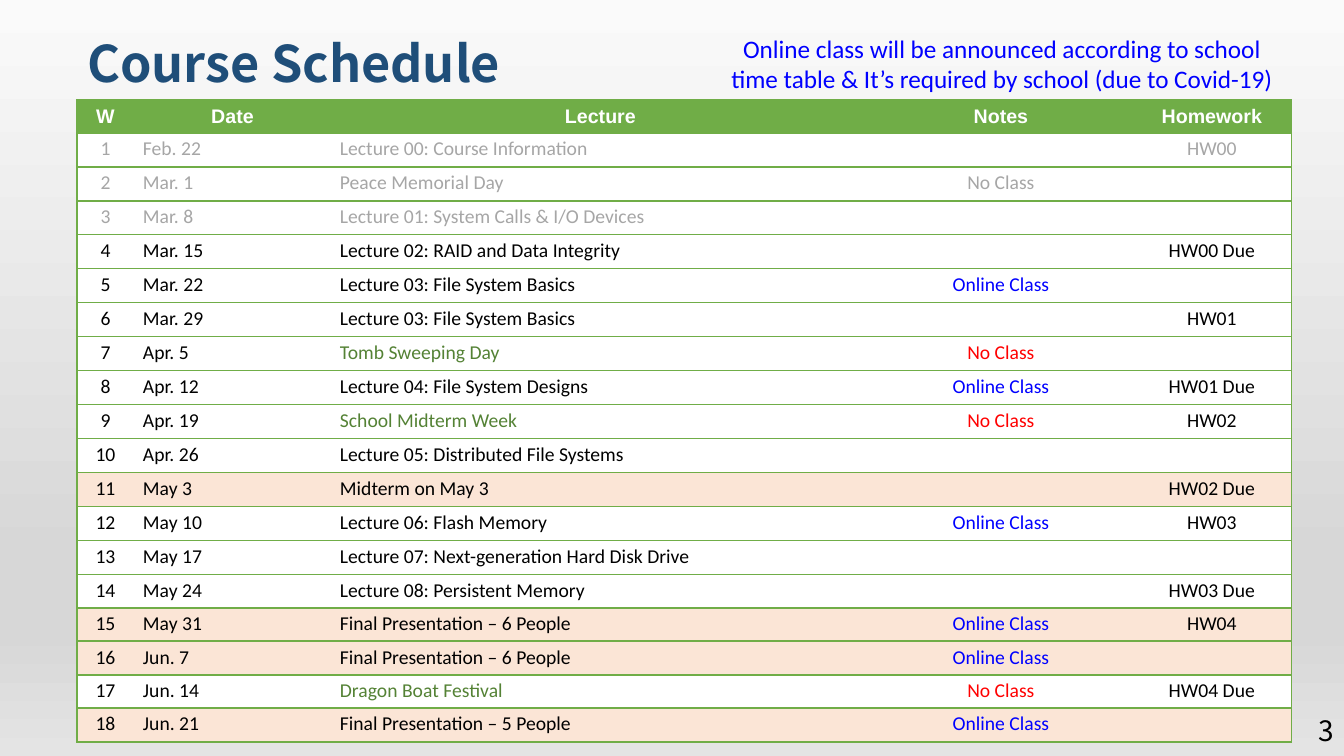
from lxml.etree import SubElement
from pptx import Presentation
from pptx.dml.color import RGBColor
from pptx.enum.text import MSO_ANCHOR, PP_ALIGN
from pptx.oxml.ns import qn
from pptx.util import Pt

EMU_PER_PX = 914400 / 100.8
COLORS = {
    "title": "1F4E79", "header": "70AD47", "white": "FFFFFF", "tint": "FBE5D6",
    "black": "000000", "muted": "A6A6A6", "online": "0000FF",
    "cancelled": "FF0000", "holiday": "548235",
}
BACKGROUND_STOPS = [(0, "FAFAFA"), (74, "D7D7D7"), (83, "D7D7D7"), (100, "E4E4E4")]
NO_STYLE_NO_GRID = "{2D5ABB26-0587-4C30-8999-92F81FD0307C}"
HEADERS = ["W", "Date", "Lecture", "Notes", "Homework"]
COLUMN_WIDTHS = [57, 197, 539, 262, 160]
SHORT_ROWS = {0, 11, 15, 17}
LAST_FINISHED_WEEK = 3
WEEKS = [
    ("Feb. 22", "Lecture 00: Course Information", "", "HW00"),
    ("Mar. 1", "Peace Memorial Day", "No Class", ""),
    ("Mar. 8", "Lecture 01: System Calls & I/O Devices", "", ""),
    ("Mar. 15", "Lecture 02: RAID and Data Integrity", "", "HW00 Due"),
    ("Mar. 22", "Lecture 03: File System Basics", "Online Class", ""),
    ("Mar. 29", "Lecture 03: File System Basics", "", "HW01"),
    ("Apr. 5", "Tomb Sweeping Day", "No Class", ""),
    ("Apr. 12", "Lecture 04: File System Designs", "Online Class", "HW01 Due"),
    ("Apr. 19", "School Midterm Week", "No Class", "HW02"),
    ("Apr. 26", "Lecture 05: Distributed File Systems", "", ""),
    ("May 3", "Midterm on May 3", "", "HW02 Due"),
    ("May 10", "Lecture 06: Flash Memory", "Online Class", "HW03"),
    ("May 17", "Lecture 07: Next-generation Hard Disk Drive", "", ""),
    ("May 24", "Lecture 08: Persistent Memory", "", "HW03 Due"),
    ("May 31", "Final Presentation – 6 People", "Online Class", "HW04"),
    ("Jun. 7", "Final Presentation – 6 People", "Online Class", ""),
    ("Jun. 14", "Dragon Boat Festival", "No Class", "HW04 Due"),
    ("Jun. 21", "Final Presentation – 5 People", "Online Class", ""),
]


def px(length):
    return round(length * EMU_PER_PX)


def write(text_frame, text, font_name, size, color, align, bold=False):
    """Fill the frame with one formatted paragraph and return it."""
    text_frame.text = text
    paragraph = text_frame.paragraphs[0]
    paragraph.alignment = align
    for run in paragraph.runs:
        run.font.name = font_name
        run.font.size = Pt(size)
        run.font.bold = bold
        run.font.color.rgb = RGBColor.from_string(COLORS[color])
    return paragraph


presentation = Presentation()
presentation.slide_width = px(1344)
presentation.slide_height = px(756)
slide = presentation.slides.add_slide(presentation.slide_layouts[5])

# Background
background_fill = slide.background.fill
background_fill.gradient()
background_fill.gradient_angle = 270
stop_list = slide.element.find(".//" + qn("a:gsLst"))
for stop in list(stop_list):
    stop_list.remove(stop)
for percent, color in BACKGROUND_STOPS:
    stop = SubElement(stop_list, qn("a:gs"), pos=str(percent * 1000))
    SubElement(stop, qn("a:srgbClr"), val=color)

# Title
title = slide.shapes.title
title.left, title.top, title.width, title.height = px(77), px(21), px(1140), px(78)
title.text_frame.vertical_anchor = MSO_ANCHOR.BOTTOM
paragraph = write(title.text_frame, "Course Schedule", "Noto Sans CJK TC", 36,
                  "title", PP_ALIGN.LEFT, bold=True)
paragraph.line_spacing = 0.9

# Page number
page_number = slide.shapes.add_textbox(px(1218), px(720), px(126), px(20))
page_number.text_frame.vertical_anchor = MSO_ANCHOR.MIDDLE
page_number.text_frame.word_wrap = True
write(page_number.text_frame, "3", "Noto Sans CJK TC", 20, "black", PP_ALIGN.RIGHT)

# Schedule table
rows = [HEADERS] + [(str(week), *entry) for week, entry in enumerate(WEEKS, 1)]
row_heights = [33 if index in SHORT_ROWS else 34 for index in range(len(rows))]
table = slide.shapes.add_table(
    len(rows), len(HEADERS), px(77), px(100),
    px(sum(COLUMN_WIDTHS)), px(sum(row_heights))).table
table._tbl.tblPr.find(qn("a:tableStyleId")).text = NO_STYLE_NO_GRID
table.horz_banding = False
for column, width in zip(table.columns, COLUMN_WIDTHS):
    column.width = px(width)

for row_index, values in enumerate(rows):
    table.rows[row_index].height = px(row_heights[row_index])
    is_header = row_index == 0
    lecture, note = values[2:4]
    if is_header:
        fill_color = "header"
    elif lecture.startswith(("Midterm", "Final")):
        fill_color = "tint"
    else:
        fill_color = "white"

    for column_index, text in enumerate(values):
        color = "black"
        if is_header:
            color = "white"
        elif row_index <= LAST_FINISHED_WEEK:
            color = "muted"
        elif text == "Online Class":
            color = "online"
        elif text == "No Class":
            color = "cancelled"
        elif column_index == 2 and note == "No Class":
            color = "holiday"
        centered = is_header or column_index not in (1, 2)

        cell = table.cell(row_index, column_index)
        cell.vertical_anchor = MSO_ANCHOR.MIDDLE
        cell.margin_left = cell.margin_right = px(9)
        cell.margin_top = cell.margin_bottom = px(5)
        paragraph = write(cell.text_frame, text, "Arial" if is_header else "Calibri",
                          14, color, PP_ALIGN.CENTER if centered else PP_ALIGN.LEFT,
                          bold=is_header)
        paragraph.line_spacing = Pt(16)
        if not text:
            SubElement(paragraph._p, qn("a:endParaRPr"), sz="1400")

        sides = ["lnT", "lnB"]
        if column_index == 0:
            sides.insert(0, "lnL")
        elif column_index == len(HEADERS) - 1:
            sides.insert(0, "lnR")
        for side in sides:
            border = SubElement(cell._tc.get_or_add_tcPr(), qn("a:" + side), w=str(Pt(1)))
            border_fill = SubElement(border, qn("a:solidFill"))
            SubElement(border_fill, qn("a:srgbClr"), val=COLORS["header"])
        cell.fill.solid()
        cell.fill.fore_color.rgb = RGBColor.from_string(COLORS[fill_color])
        # The schema wants the fill after the borders
        properties = cell._tc.tcPr
        properties.append(properties.find(qn("a:solidFill")))

# Announcement
announcement = slide.shapes.add_textbox(px(718), px(28), px(568), px(72))
announcement.text_frame.word_wrap = True
write(announcement.text_frame,
      "Online class will be announced according to school time table "
      "& It’s required by school (due to Covid-19)",
      "Calibri", 18, "online", PP_ALIGN.CENTER)

presentation.save("out.pptx")
